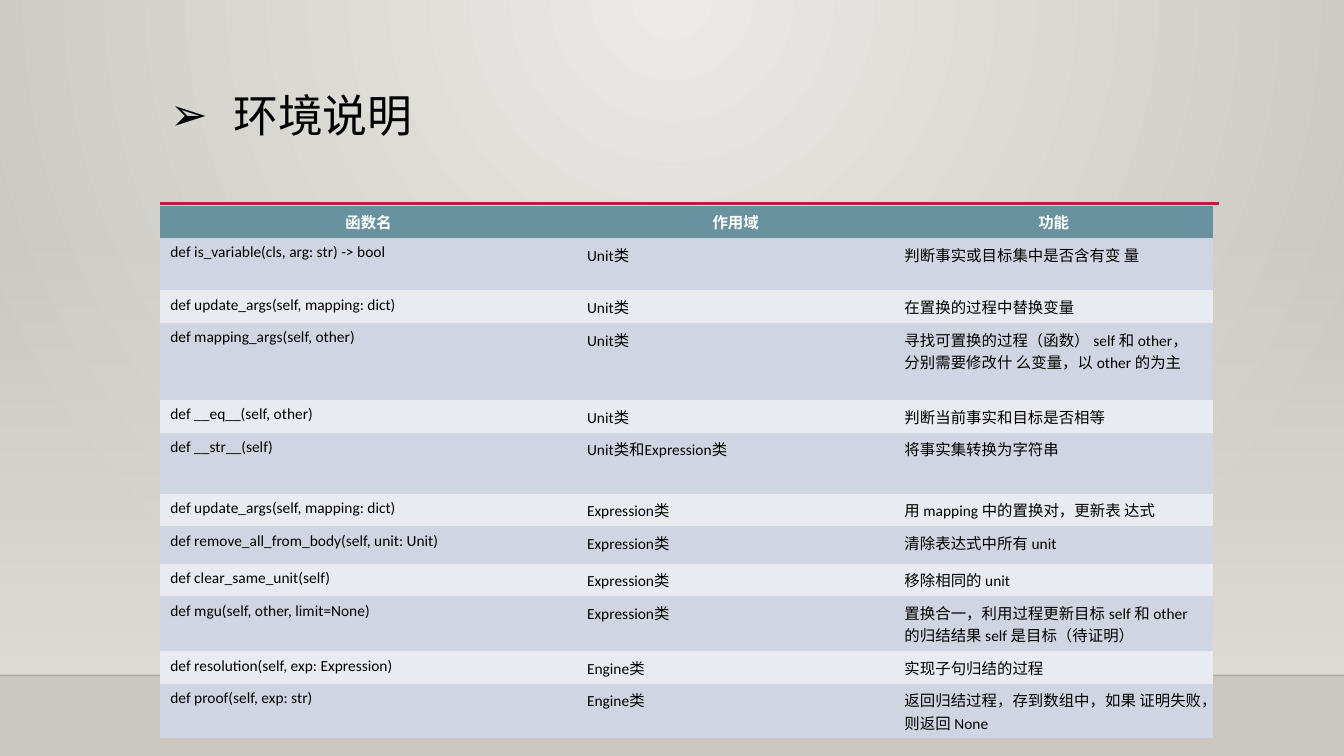
from pptx import Presentation
from pptx import util as u
from pptx.dml.color import RGBColor
from pptx.enum import shapes, text
from pptx.oxml import parse_xml
from pptx.oxml.ns import nsdecls, qn

FONT = "Calibri"
COLORS = {
    "glow": "ECEAE7", "edge": "CAC7C1", "wall": "DFDBD5", "floor_line": "000001",
    "accent": "B71E42", "ink": "000000", "header_ink": "FFFFFF",
    "header": "6892A0", "odd": "D1D5E1", "even": "EAEBF1",
}
PLAIN_TABLE_STYLE = "{2D5ABB26-0587-4C30-8999-92F81FD0307C}"
RADIAL = '<a:path path="circle"><a:fillToRect l="43000" t="0" r="43000" b="100000"/></a:path>'
DOWNWARD = '<a:lin ang="5400000" scaled="0"/>'
COLUMN_WIDTHS = [10.5, 8.0, 8.03]
ROW_HEIGHT = 0.82
TALL_ROWS = {1: 1.32, 3: 1.94, 5: 1.54, 7: 0.95, 9: 1.38, 11: 1.38}
FUNCTIONS = [
    ("函数名", "作用域", "功能"),
    ("def is_variable(cls, arg: str) -> bool", "Unit类", "判断事实或目标集中是否含有变 量"),
    ("def update_args(self, mapping: dict)", "Unit类", "在置换的过程中替换变量"),
    ("def mapping_args(self, other)", "Unit类",
     "寻找可置换的过程（函数） self 和 other，分别需要修改什 么变量，以 other 的为主"),
    ("def __eq__(self, other)", "Unit类", "判断当前事实和目标是否相等"),
    ("def __str__(self)", "Unit类和Expression类", "将事实集转换为字符串"),
    ("def update_args(self, mapping: dict)", "Expression类", "用 mapping 中的置换对，更新表 达式"),
    ("def remove_all_from_body(self, unit: Unit)", "Expression类", "清除表达式中所有 unit"),
    ("def clear_same_unit(self)", "Expression类", "移除相同的 unit"),
    ("def mgu(self, other, limit=None)", "Expression类",
     "置换合一，利用过程更新目标 self 和 other 的归结结果 self 是目标（待证明）"),
    ("def resolution(self, exp: Expression)", "Engine类", "实现子句归结的过程"),
    ("def proof(self, exp: str)", "Engine类", "返回归结过程，存到数组中，如果 证明失败，则返回 None"),
]


def rgb(name):
    """Return the named colour."""
    return RGBColor.from_string(COLORS[name])


def style_run(run, size, color, bold=False):
    """Set font, size, colour and weight of a run."""
    run.font.name = FONT
    run.font.size = u.Pt(size)
    run.font.bold = bold
    run.font.color.rgb = rgb(color)


def set_gradient(parent, stops, direction):
    """Replace the solid fill in parent by a gradient of (position, colour, opacity) stops."""
    marks = "".join(
        f'<a:gs pos="{position * 1000}"><a:srgbClr val="{COLORS[color]}">'
        f'<a:alpha val="{opacity * 1000}"/></a:srgbClr></a:gs>'
        for position, color, opacity in stops)
    gradient = parse_xml(
        f'<a:gradFill {nsdecls("a")} rotWithShape="1"><a:gsLst>{marks}</a:gsLst>{direction}</a:gradFill>')
    parent.replace(parent.find(qn("a:solidFill")), gradient)


def add_rule(slide, left, top, width, color, weight, opacity=100):
    """Draw a horizontal line without shadow."""
    rule = slide.shapes.add_connector(
        shapes.MSO_CONNECTOR.STRAIGHT, u.Cm(left), u.Cm(top), u.Cm(left + width), u.Cm(top))
    rule.line.color.rgb = rgb(color)
    rule.line.width = u.Pt(weight)
    properties = rule._element.spPr
    tint = properties.find(f".//{qn('a:srgbClr')}")
    tint.append(parse_xml(f'<a:alpha {nsdecls("a")} val="{opacity * 1000}"/>'))
    properties.append(parse_xml(f'<a:effectLst {nsdecls("a")}/>'))


def add_backdrop(slide, width, floor_top):
    """Paint the radial background, the fading wall and the floor line."""
    slide.background.fill.solid()
    background = slide.background._cSld.find(f".//{qn('p:bgPr')}")
    set_gradient(background, [(0, "glow", 100), (100, "edge", 100)], RADIAL)
    wall_height = 11.4
    wall = slide.shapes.add_shape(
        shapes.MSO_SHAPE.RECTANGLE, 0, u.Cm(floor_top - wall_height), u.Cm(width), u.Cm(wall_height))
    wall.shadow.inherit = False
    wall.line.fill.background()
    wall.fill.solid()
    set_gradient(wall._element.spPr, [(0, "wall", 0), (100, "wall", 100)], DOWNWARD)
    add_rule(slide, 0, floor_top, width, "floor_line", 1, 20)


def add_title(slide, left, top, width, height, title):
    """Place the bulleted title above its accent line."""
    add_rule(slide, left, top + 2.89, width, "accent", 2.5)
    box = slide.shapes.add_textbox(u.Cm(left), u.Cm(top), u.Cm(width), u.Cm(height))
    frame = box.text_frame
    frame.word_wrap = True
    frame.vertical_anchor = text.MSO_ANCHOR.TOP
    frame.text = title
    paragraph = frame.paragraphs[0]
    paragraph.line_spacing = 0.9
    style_run(paragraph.runs[0], 32, "ink")
    properties = paragraph._p.get_or_add_pPr()
    indent = u.Cm(1.59)
    properties.set("marL", str(indent))
    properties.set("indent", str(-indent))
    properties.append(parse_xml(f'<a:buFont {nsdecls("a")} typeface="{FONT}"/>'))
    properties.append(parse_xml(f'<a:buChar {nsdecls("a")} char="➢"/>'))


def add_function_table(slide, left, top):
    """Place the table of functions with a header and banded rows."""
    heights = [TALL_ROWS.get(index, ROW_HEIGHT) for index in range(len(FUNCTIONS))]
    table = slide.shapes.add_table(
        len(heights), len(COLUMN_WIDTHS), u.Cm(left), u.Cm(top),
        u.Cm(sum(COLUMN_WIDTHS)), u.Cm(sum(heights))).table
    table._tbl.tblPr.find(qn("a:tableStyleId")).text = PLAIN_TABLE_STYLE
    for column, width in zip(table.columns, COLUMN_WIDTHS):
        column.width = u.Cm(width)
    for index, (row, height, entries) in enumerate(zip(table.rows, heights, FUNCTIONS)):
        row.height = u.Cm(height)
        is_header = index == 0
        band = "header" if is_header else "odd" if index % 2 else "even"
        for cell, entry in zip(row.cells, entries):
            cell.fill.solid()
            cell.fill.fore_color.rgb = rgb(band)
            cell.text_frame.text = entry
            paragraph = cell.text_frame.paragraphs[0]
            paragraph.alignment = text.PP_ALIGN.CENTER if is_header else text.PP_ALIGN.LEFT
            style_run(paragraph.runs[0], 11, "header_ink" if is_header else "ink", is_header)


def main():
    """Build and save the slide."""
    presentation = Presentation()
    presentation.slide_width = u.Cm(33.87)
    presentation.slide_height = u.Cm(19.05)
    slide = presentation.slides.add_slide(presentation.slide_layouts[6])
    add_backdrop(slide, 33.87, 17.02)
    add_title(slide, 4.04, 2.24, 26.67, 2.92, "环境说明")
    add_function_table(slide, 4.04, 5.18)
    presentation.save("out.pptx")


if __name__ == "__main__":
    main()
